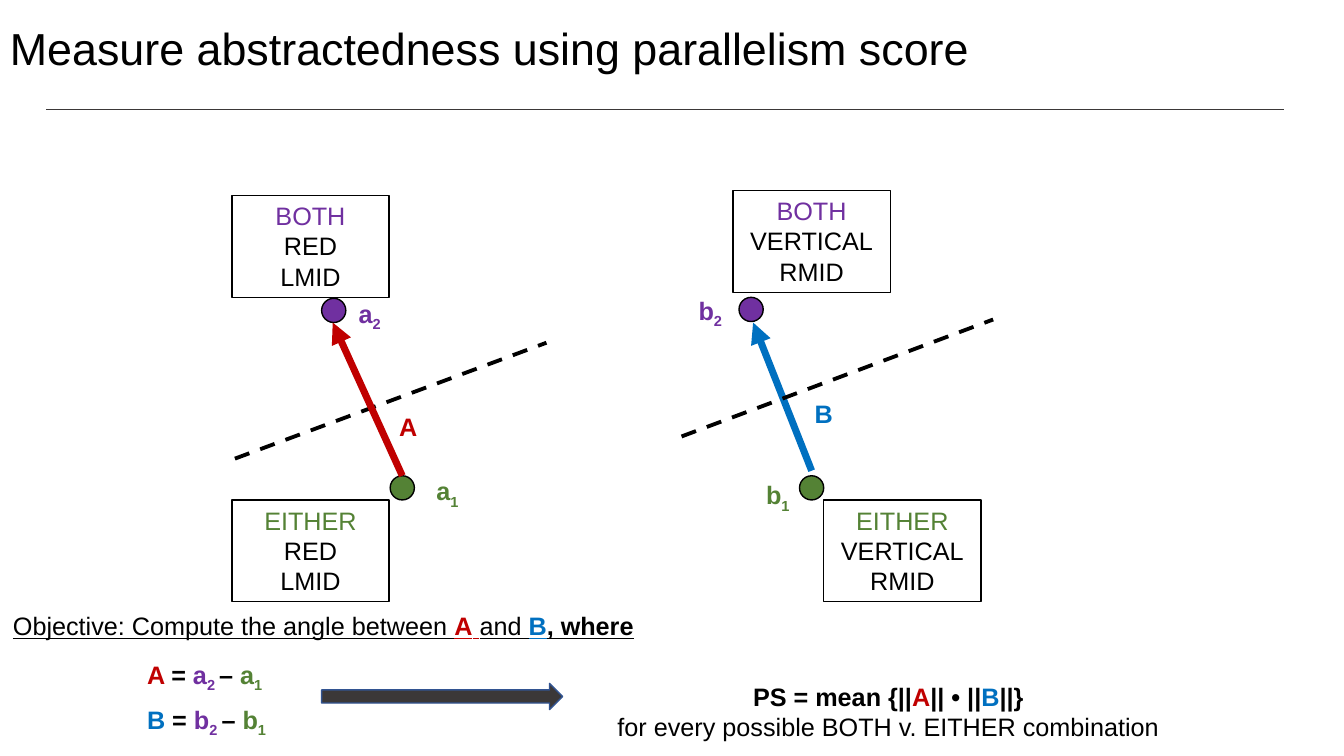
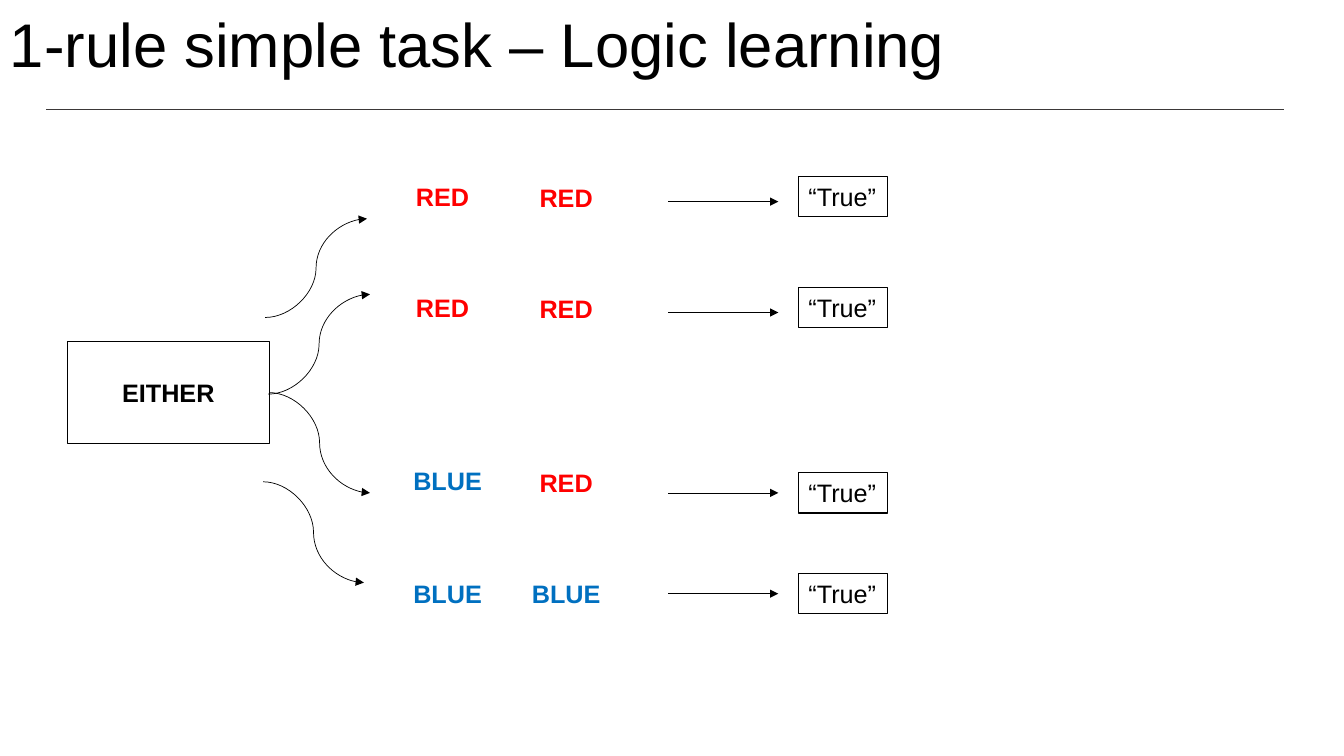
"""Build two slides: the parallelism score and the one-rule logic task."""
from lxml import etree
from pptx import Presentation
from pptx.dml.color import RGBColor
from pptx.enum.dml import MSO_LINE
from pptx.enum.shapes import MSO_CONNECTOR, MSO_SHAPE
from pptx.enum.text import MSO_ANCHOR, PP_ALIGN
from pptx.oxml.ns import qn
from pptx.util import Emu, Pt

PX = 9144
FONT = "Arial"
LEFT, CENTER = PP_ALIGN.LEFT, PP_ALIGN.CENTER
TOP, MIDDLE = MSO_ANCHOR.TOP, MSO_ANCHOR.MIDDLE
RECT, OVAL, ARROW = MSO_SHAPE.RECTANGLE, MSO_SHAPE.OVAL, MSO_SHAPE.RIGHT_ARROW
STRAIGHT, CURVE = MSO_CONNECTOR.STRAIGHT, MSO_CONNECTOR.CURVE
RIGHT_SIDE = 3

BLACK, WHITE, GRAY, NAVY = "000000", "FFFFFF", "3B3838", "325491"
PURPLE, GREEN, CRIMSON, BLUE, RED = "7030A0", "548235", "C00000", "0070C0", "FF0000"

SCORE_TITLE = ("Measure abstractedness using parallelism score", 32, (0, 2, 1287, 98))
LOGIC_TITLE = ("1-rule simple task – Logic learning", 44, (0, 0, 1333, 95))

CONDITION_SIZE = (156, 101)
CONDITIONS = [
    (230, 194, "BOTH", PURPLE, "RED", "LMID"),
    (727, 189, "BOTH", PURPLE, "VERTICAL", "RMID"),
    (230, 496, "EITHER", GREEN, "RED", "LMID"),
    (817, 496, "EITHER", GREEN, "VERTICAL", "RMID"),
]
DOT = 24
DOTS = [(387, 472, GREEN), (793, 472, GREEN), (733, 295, PURPLE), (319, 296, PURPLE)]
VECTORS = [
    ((233, 455, 542, 340), BLACK, 2.75, True),
    ((399, 472, 330, 320), CRIMSON, 5, False),
    ((805, 467, 747, 320), BLUE, 5, False),
    ((676, 433, 985, 317), BLACK, 2.75, True),
]
OBJECTIVE = [
    ("Objective: Compute the angle between ", BLACK, "u"), ("A", CRIMSON, "ub"),
    (" ", CRIMSON, "u"), ("and ", BLACK, "u"), ("B", BLUE, "ub"), (", where", BLACK, "ub"),
]
VECTOR_LABELS = [(386, 403, "A", CRIMSON), (798, 390, "B", BLUE)]
POINT_LABELS = [
    (423, 467, "a", "1", GREEN), (750, 471, "b", "1", GREEN),
    (346, 291, "a", "2", PURPLE), (683, 288, "b", "2", PURPLE),
]
EQUATIONS = [(649, "A", CRIMSON, "a"), (694, "B", BLUE, "b")]
SCORE = [
    [("PS = mean {||", BLACK, "b"), ("A", CRIMSON, "b"), ("|| • ||", BLACK, "b"),
     ("B", BLUE, "b"), ("||}", BLACK, "b")],
    [("for every possible BOTH v. EITHER combination", BLACK, "")],
]

LINE_HEIGHT = 40
RULE_BOX = (67, 339, 200, 101)
CURVES = [(267, 389, 367, 489), (266, 391, 367, 292), (261, 478, 361, 578), (263, 315, 364, 217)]
WORD_COLORS = {"RED": RED, "BLUE": BLUE}
FIRST_WIDTHS = {"RED": 86, "BLUE": 96}
TRIALS = [
    (("RED", 175), ("RED", 176), 200, 175),
    (("RED", 285), ("RED", 286), 310, 285),
    (("BLUE", 457), ("RED", 459), 489, 469),
    (("BLUE", 569), ("BLUE", 569), 589, 569),
]


def px(*lengths):
    return [Emu(length * PX) for length in lengths]


def rgb(color):
    return RGBColor.from_string(color)


def write(shape, paragraphs, align=LEFT, size=18, anchor=TOP, wrap=True, spacing=None):
    frame = shape.text_frame
    frame.word_wrap = wrap
    frame.vertical_anchor = anchor
    for index, runs in enumerate(paragraphs):
        para = frame.add_paragraph() if index else frame.paragraphs[0]
        para.alignment = align
        para.line_spacing = spacing
        for text, color, style in runs:
            span = para.add_run()
            span.text = text
            span.font.name = FONT
            span.font.size = Pt(size)
            span.font.color.rgb = rgb(color)
            span.font.bold = "b" in style
            span.font.underline = "u" in style
            if "s" in style:
                span.font._element.set("baseline", "-25000")


def add_text(page, place, paragraphs, **options):
    write(page.shapes.add_textbox(*px(*place)), paragraphs, **options)


def add_box(page, kind, place, fill=None, line=BLACK, width=1):
    box = page.shapes.add_shape(kind, *px(*place))
    box.shadow.inherit = False
    if fill:
        box.fill.solid()
        box.fill.fore_color.rgb = rgb(fill)
    else:
        box.fill.background()
    box.line.color.rgb = rgb(line)
    box.line.width = Pt(width)
    return box


def add_line(page, ends, color=BLACK, width=0.5, kind=STRAIGHT, dashed=False, arrow=True):
    line = page.shapes.add_connector(kind, *px(*ends))
    line.line.color.rgb = rgb(color)
    line.line.width = Pt(width)
    if dashed:
        line.line.dash_style = MSO_LINE.DASH
    properties = line.element.spPr
    if arrow:
        etree.SubElement(properties.find(qn("a:ln")), qn("a:tailEnd"), type="triangle")
    etree.SubElement(properties, qn("a:effectLst"))
    return line


def add_page(deck, title, size, place):
    page = deck.slides.add_slide(deck.slide_layouts[6])
    add_line(page, (46, 109, 1273, 109), color=GRAY, arrow=False)
    add_text(page, place, [[(title, BLACK, "")]], size=size, anchor=MIDDLE, spacing=0.9)
    return page


def build_score(deck):
    page = add_page(deck, *SCORE_TITLE)
    for x, y, rule, color, *features in CONDITIONS:
        box = add_box(page, RECT, (x, y, *CONDITION_SIZE), WHITE)
        lines = [[(rule, color, "")]] + [[(feature, BLACK, "")] for feature in features]
        write(box, lines, CENTER, anchor=TOP)
    for x, y, color in DOTS:
        add_box(page, OVAL, (x, y, DOT, DOT), color)
    for ends, color, width, dashed in VECTORS:
        add_line(page, ends, color, width, dashed=dashed, arrow=not dashed)
    add_text(page, (3, 601, 641, LINE_HEIGHT), [OBJECTIVE], wrap=False)
    for x, y, name, color in VECTOR_LABELS:
        add_text(page, (x, y, 38, LINE_HEIGHT), [[(name, color, "b")]], wrap=False)
    for x, y, name, number, color in POINT_LABELS:
        label = [(name, color, "b"), (number, color, "bs")]
        add_text(page, (x, y, 44, LINE_HEIGHT), [label], wrap=False)
    for y, vector, color, point in EQUATIONS:
        equation = [
            (vector + " ", color, "b"), ("= ", BLACK, "b"), (point, PURPLE, "b"),
            ("2 ", PURPLE, "bs"), ("– ", BLACK, "b"), (point, GREEN, "b"), ("1", GREEN, "bs"),
        ]
        add_text(page, (136, y, 145, LINE_HEIGHT), [equation], wrap=False)
    add_box(page, ARROW, (319, 678, 239, 26), GRAY, NAVY)
    add_text(page, (600, 671, 562, 71), SCORE, align=CENTER, wrap=False)


def build_logic(deck):
    page = add_page(deck, *LOGIC_TITLE)
    rule_box = add_box(page, RECT, RULE_BOX, width=0.75)
    write(rule_box, [[("EITHER", BLACK, "b")]], CENTER, anchor=MIDDLE)
    for ends in CURVES:
        curve = add_line(page, ends, kind=CURVE)
        if ends[0] == RULE_BOX[0] + RULE_BOX[2]:
            curve.begin_connect(rule_box, RIGHT_SIDE)
    for (first, first_y), (second, second_y), arrow_y, answer_y in TRIALS:
        words = [(first, 396, first_y, FIRST_WIDTHS[first]), (second, 512, second_y, 99)]
        for word, x, y, width in words:
            runs = [(word, WORD_COLORS[word], "b")]
            add_text(page, (x, y, width, LINE_HEIGHT), [runs], align=CENTER)
        add_line(page, (663, arrow_y, 772, arrow_y))
        answer = add_box(page, RECT, (792, answer_y, 88, LINE_HEIGHT), width=0.75)
        write(answer, [[("“True”", BLACK, "")]], wrap=False)


def main():
    deck = Presentation()
    deck.slide_width, deck.slide_height = px(1333, 750)
    build_score(deck)
    build_logic(deck)
    deck.save("out.pptx")


if __name__ == "__main__":
    main()
